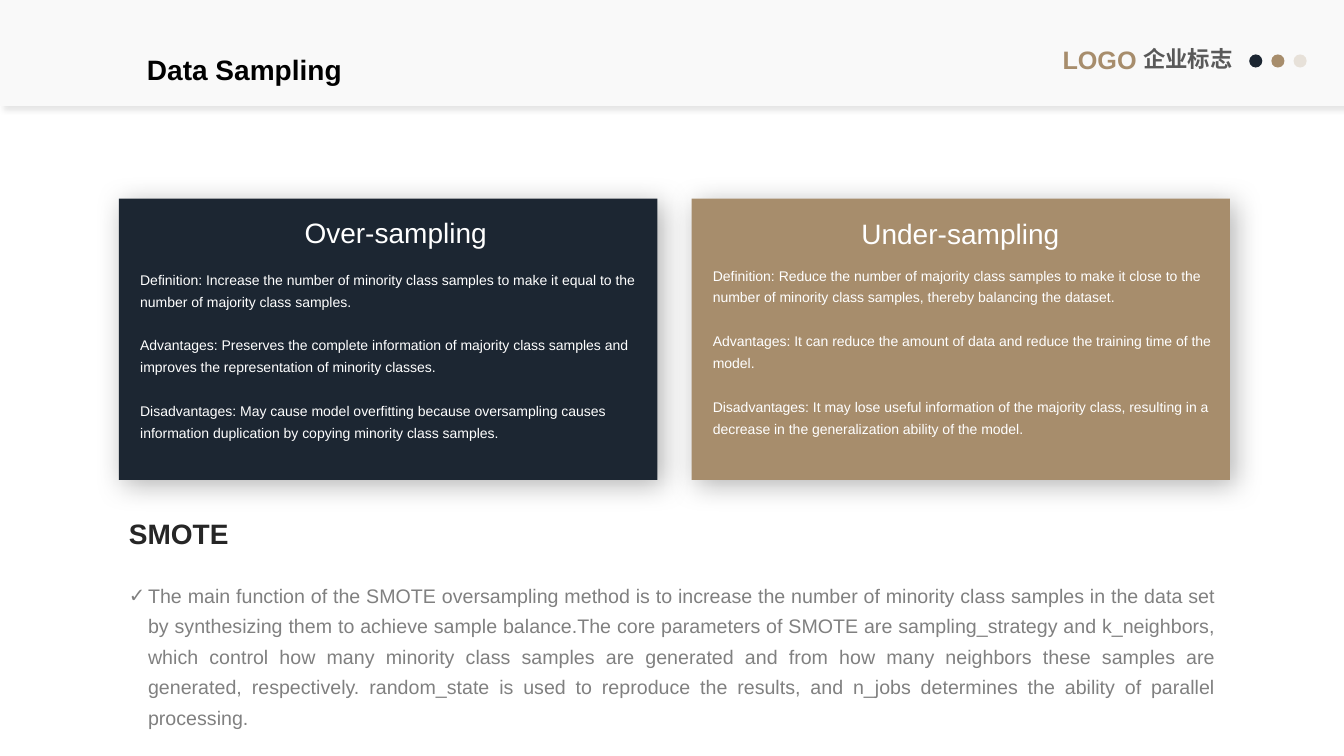
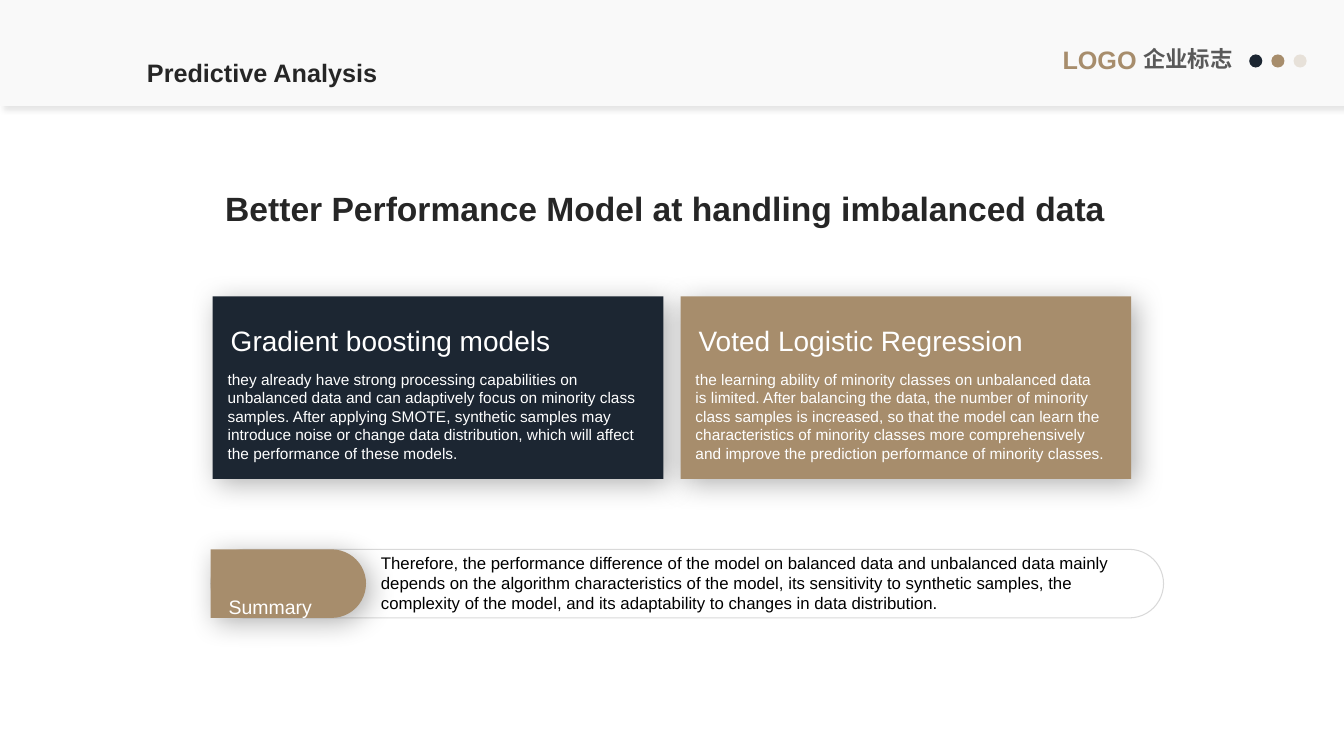
"""Build two slides on data sampling and predictive analysis."""
import pptx
import pptx.dml.color
import pptx.enum.shapes
import pptx.enum.text
import pptx.oxml.ns
import pptx.util
from lxml import etree

Inches = pptx.util.Inches
Pt = pptx.util.Pt
SHAPE = pptx.enum.shapes.MSO_SHAPE
ALIGN = pptx.enum.text.PP_ALIGN
qn = pptx.oxml.ns.qn

FONT = "Arial"
COLORS = {
    "band": "F9F9F9", "navy": "1C2632", "tan": "A78D6C", "sand": "A38559",
    "black": "000000", "ink": "262626", "slate": "595959", "gray": "808080",
    "border": "D9D9D9", "white": "FFFFFF",
}
BAND_SHADOW = {"alpha": 10, "blur": 4, "distance": 3}
CARD_SHADOW = {"alpha": 30, "blur": 20, "distance": 5}

DOTS = [("navy", 100), ("tan", 100), ("sand", 20)]

SAMPLING_CARDS = [
    {"left": 1.18, "color": "navy", "heading": "Over-sampling",
     "heading_at": (2.57, 2.04, 2.71, 0.39), "body_at": (1.39, 2.64, 5.05, 1.96),
     "body": [
         "Definition: Increase the number of minority class samples to make it equal to the number of majority class samples.",
         "Advantages: Preserves the complete information of majority class samples and improves the representation of minority classes.",
         "Disadvantages: May cause model overfitting because oversampling causes information duplication by copying minority class samples.",
     ]},
    {"left": 6.86, "color": "tan", "heading": "Under-sampling",
     "heading_at": (8.17, 2.05, 2.71, 0.39), "body_at": (7.07, 2.6, 5.09, 1.96),
     "body": [
         "Definition: Reduce the number of majority class samples to make it close to the number of minority class samples, thereby balancing the dataset.",
         "Advantages: It can reduce the amount of data and reduce the training time of the model.",
         "Disadvantages: It may lose useful information of the majority class, resulting in a decrease in the generalization ability of the model.",
     ]},
]
SMOTE_TEXT = (
    "The main function of the SMOTE oversampling method is to increase the number of minority class "
    "samples in the data set by synthesizing them to achieve sample balance.The core parameters of "
    "SMOTE are sampling_strategy and k_neighbors, which control how many minority class samples are "
    "generated and from how many neighbors these samples are generated, respectively. random_state is "
    "used to reproduce the results, and n_jobs determines the ability of parallel processing."
)
MODEL_CARDS = [
    (2.11, "navy", "Gradient boosting models",
     "they already have strong processing capabilities on unbalanced data and can adaptively focus on "
     "minority class samples. After applying SMOTE, synthetic samples may introduce noise or change "
     "data distribution, which will affect the performance of these models."),
    (6.75, "tan", "Voted Logistic Regression",
     "the learning ability of minority classes on unbalanced data is limited. After balancing the "
     "data, the number of minority class samples is increased, so that the model can learn the "
     "characteristics of minority classes more comprehensively and improve the prediction performance "
     "of minority classes."),
]
SUMMARY_TEXT = (
    "Therefore, the performance difference of the model on balanced data and unbalanced data mainly "
    "depends on the algorithm characteristics of the model, its sensitivity to synthetic samples, the "
    "complexity of the model, and its adaptability to changes in data distribution."
)


def rgb(name):
    return pptx.dml.color.RGBColor.from_string(COLORS[name])


def add_alpha(color_element, percent):
    etree.SubElement(color_element, qn("a:alpha")).set("val", str(percent * 1000))


def add_shadow(shape, alpha, blur, distance):
    effects = shape._element.spPr.find(qn("a:effectLst"))
    outer = etree.SubElement(effects, qn("a:outerShdw"))
    settings = {"blurRad": Pt(blur), "dist": Pt(distance), "dir": 45 * 60000,
                "algn": "tl", "rotWithShape": 0}
    for key, value in settings.items():
        outer.set(key, str(value))
    color = etree.SubElement(outer, qn("a:srgbClr"))
    color.set("val", COLORS["black"])
    add_alpha(color, alpha)


def add_shape(slide, kind, at, fill=None, line=None, shadow=None, alpha=100):
    shape = slide.shapes.add_shape(kind, *map(Inches, at))
    shape.shadow.inherit = False
    if fill:
        shape.fill.solid()
        shape.fill.fore_color.rgb = rgb(fill)
        if alpha < 100:
            add_alpha(shape._element.spPr.find(".//" + qn("a:srgbClr")), alpha)
    else:
        shape.fill.background()
    if line:
        shape.line.color.rgb = rgb(line)
        shape.line.width = Pt(0.75)
    else:
        shape.line.fill.background()
    if shadow:
        add_shadow(shape, **shadow)
    return shape


def add_check_bullet(paragraph):
    properties = paragraph._p.get_or_add_pPr()
    properties.set("marL", str(Inches(0.19)))
    properties.set("indent", str(-Inches(0.19)))
    etree.SubElement(properties, qn("a:buFont")).set("typeface", FONT)
    etree.SubElement(properties, qn("a:buChar")).set("char", "✓")


def add_text(slide, at, texts, size, color, bold=False, spacing=None, align=ALIGN.LEFT,
             inset=True, wrap=True, gap=0, bullet=False, baseline=None):
    frame = slide.shapes.add_textbox(*map(Inches, at)).text_frame
    frame.word_wrap = wrap
    frame.auto_size = pptx.enum.text.MSO_AUTO_SIZE.SHAPE_TO_FIT_TEXT
    if not inset:
        frame.margin_left = frame.margin_right = frame.margin_top = frame.margin_bottom = 0
    for index, text in enumerate(texts):
        paragraph = frame.add_paragraph() if index else frame.paragraphs[0]
        paragraph.alignment = align
        if spacing:
            paragraph.line_spacing = spacing
        if gap and index:
            paragraph.space_before = Pt(gap)
        if bullet:
            add_check_bullet(paragraph)
        run = paragraph.add_run()
        run.text = text
        run.font.name = FONT
        run.font.size = Pt(size)
        run.font.bold = bold
        run.font.color.rgb = rgb(color)
        if baseline:
            run._r.get_or_add_rPr().set("baseline", str(baseline * 1000))


def add_base_slide(presentation, title, size, color, spacing):
    slide = presentation.slides.add_slide(presentation.slide_layouts[6])
    add_shape(slide, SHAPE.RECTANGLE, (0, 0, 13.33, 1.05), "band", shadow=BAND_SHADOW)
    add_text(slide, (10.44, 0.39, 0.95, 0.4), ["LOGO"], 18, "tan", bold=True, wrap=False)
    add_text(slide, (11.24, 0.4, 1.1, 0.37), ["企业标志"], 16, "slate", bold=True, wrap=False)
    for index, (fill, alpha) in enumerate(DOTS):
        add_shape(slide, SHAPE.OVAL, (12.39 + 0.22 * index, 0.54, 0.13, 0.13), fill, alpha=alpha)
    add_text(slide, (1.36, 0.37, 3.14, 0.5), [title], size, color, bold=True, spacing=spacing)
    return slide


def add_sampling_slide(presentation):
    slide = add_base_slide(presentation, "Data Sampling", 20, "black", 1.3)
    for card in SAMPLING_CARDS:
        add_shape(slide, SHAPE.RECTANGLE, (card["left"], 1.97, 5.34, 2.79), card["color"],
                  shadow=CARD_SHADOW)
        add_text(slide, card["heading_at"], [card["heading"]], 20, "white", spacing=1.3,
                 align=ALIGN.CENTER, inset=False)
        add_text(slide, card["body_at"], card["body"], 10, "white", spacing=1.3,
                 inset=False, gap=15.6)
    add_text(slide, (1.18, 4.97, 1.2, 0.49), ["SMOTE"], 20, "ink", bold=True, spacing=1.3)
    add_text(slide, (1.18, 5.67, 10.98, 1.29), [SMOTE_TEXT], 14, "gray", spacing=1.3,
             align=ALIGN.JUSTIFY, bullet=True)


def add_prediction_slide(presentation):
    slide = add_base_slide(presentation, "Predictive Analysis", 18, "ink", 1.5)
    add_text(slide, (2.19, 1.74, 8.81, 0.47),
             ["Better Performance Model at handling imbalanced data"], 24, "ink",
             bold=True, spacing=1.3, align=ALIGN.CENTER, inset=False)
    for left, color, heading, body in MODEL_CARDS:
        add_shape(slide, SHAPE.RECTANGLE, (left, 2.94, 4.47, 1.81), color, shadow=CARD_SHADOW)
        add_text(slide, (left + 0.08, 3.06, 3.58, 0.52), [heading], 20, "white", spacing=1.3)
        add_text(slide, (left + 0.05, 3.62, 4.27, 1.03), [body], 11, "white")
    outline = add_shape(slide, SHAPE.ROUNDED_RECTANGLE, (2.09, 5.45, 9.45, 0.68), line="border")
    outline.adjustments[0] = 0.5
    tab = add_shape(slide, SHAPE.ROUND_2_SAME_RECTANGLE, (2.52, 5.02, 0.68, 1.54), "tan",
                    shadow=CARD_SHADOW)
    tab.rotation = 90
    tab.adjustments[0] = 0.5
    tab.adjustments[1] = 0
    add_text(slide, (2.17, 5.58, 1.16, 0.41), ["Summary"], 24, "white", spacing=1.3,
             wrap=False, baseline=-3)
    add_text(slide, (3.68, 5.43, 7.74, 0.71), [SUMMARY_TEXT], 12, "black")


def main():
    presentation = pptx.Presentation()
    presentation.slide_width = Inches(13.33)
    presentation.slide_height = Inches(7.5)
    add_sampling_slide(presentation)
    add_prediction_slide(presentation)
    presentation.save("out.pptx")


if __name__ == "__main__":
    main()
